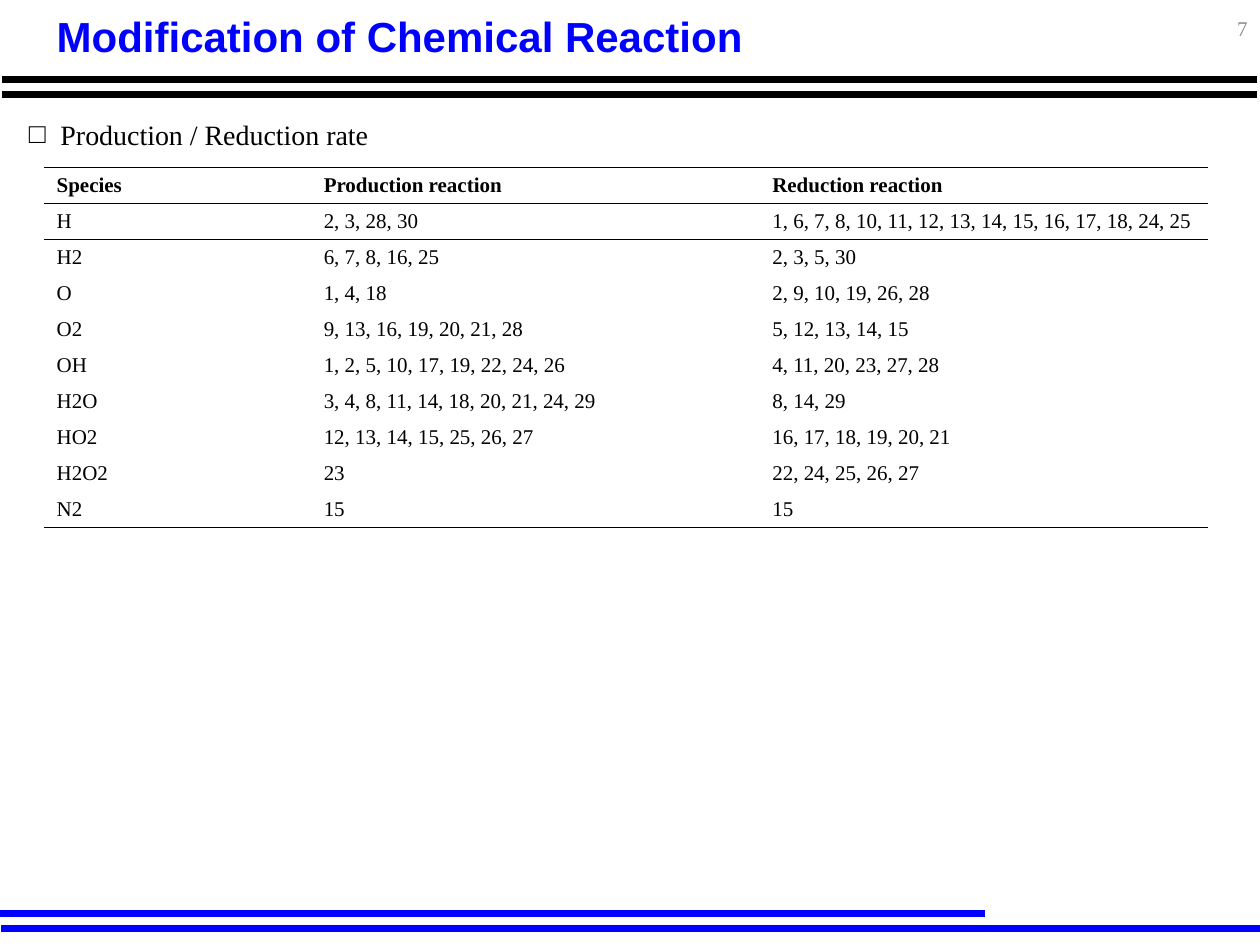
from dataclasses import dataclass

from lxml import etree
from pptx import Presentation
from pptx import util as u
from pptx.dml.color import RGBColor
from pptx.enum import shapes, text
from pptx.oxml import ns

COLUMNS, ROWS = 100, 75
BLACK, BLUE, GRAY = "000000", "0000FF", "8C8C8C"
SERIF, SANS = "Times New Roman", "Arial"
PLAIN_TABLE_STYLE = "{2D5ABB26-0587-4C30-8999-92F81FD0307C}"

presentation = Presentation()
presentation.slide_width = u.Inches(10)
presentation.slide_height = u.Inches(7.5)


@dataclass
class Box:
    left: float
    top: float
    width: float
    height: float


@dataclass
class Rule:
    start: float
    end: float
    row: float
    color: str


RULES = [
    Rule(0.2, 99.8, 6.3, BLACK),
    Rule(0.2, 99.8, 7.5, BLACK),
    Rule(0, 78.2, 72.5, BLUE),
    Rule(0.1, 100, 73.7, BLUE),
]
TITLE = Box(3.5, 1, 92.3, 4.1)
BODY = Box(1.3, 9.1, 97.4, 59.3)
TABLE = Box(3.5, 13.3, 92.4, 28.6)
NUMBER = Box(95.8, 0.2, 4.2, 4)
TABLE_COLUMNS = [21.2, 35.6, 35.6]
REACTIONS = [
    ("Species", "Production reaction", "Reduction reaction"),
    ("H", "2, 3, 28, 30", "1, 6, 7, 8, 10, 11, 12, 13, 14, 15, 16, 17, 18, 24, 25"),
    ("H2", "6, 7, 8, 16, 25", "2, 3, 5, 30"),
    ("O", "1, 4, 18", "2, 9, 10, 19, 26, 28"),
    ("O2", "9, 13, 16, 19, 20, 21, 28", "5, 12, 13, 14, 15"),
    ("OH", "1, 2, 5, 10, 17, 19, 22, 24, 26", "4, 11, 20, 23, 27, 28"),
    ("H2O", "3, 4, 8, 11, 14, 18, 20, 21, 24, 29", "8, 14, 29"),
    ("HO2", "12, 13, 14, 15, 25, 26, 27", "16, 17, 18, 19, 20, 21"),
    ("H2O2", "23", "22, 24, 25, 26, 27"),
    ("N2", "15", "15"),
]


def across(columns: float) -> int:
    return round(presentation.slide_width * columns / COLUMNS)


def down(rows: float) -> int:
    return round(presentation.slide_height * rows / ROWS)


def frame(box: Box) -> tuple[int, int, int, int]:
    return across(box.left), down(box.top), across(box.width), down(box.height)


def place(shape, box: Box) -> None:
    shape.left, shape.top, shape.width, shape.height = frame(box)


def color(value: str) -> RGBColor:
    return RGBColor.from_string(value)


def add_run(paragraph, words: str, size: float, font: str = SERIF,
            ink: str = BLACK, bold: bool = False) -> None:
    run = paragraph.add_run()
    run.text = words
    run.font.size = u.Pt(size)
    run.font.name = font
    run.font.bold = bold
    run.font.color.rgb = color(ink)


def draw_rule(slide, rule: Rule) -> None:
    connector = slide.shapes.add_connector(
        shapes.MSO_CONNECTOR.STRAIGHT,
        across(rule.start), down(rule.row), across(rule.end), down(rule.row))
    connector.line.width = u.Pt(4)
    connector.line.color.rgb = color(rule.color)
    etree.SubElement(connector._element.spPr, ns.qn("a:effectLst"))


def draw_title(slide) -> None:
    title = slide.shapes.title
    place(title, TITLE)
    title.text_frame.auto_size = text.MSO_AUTO_SIZE.NONE
    title.text_frame.vertical_anchor = text.MSO_ANCHOR.MIDDLE
    paragraph = title.text_frame.paragraphs[0]
    paragraph.alignment = text.PP_ALIGN.LEFT
    paragraph.line_spacing = 0.9
    add_run(paragraph, "Modification of Chemical Reaction", 24, SANS, BLUE, True)


def draw_body(slide) -> None:
    body = slide.placeholders[1]
    place(body, BODY)
    body.text_frame.auto_size = text.MSO_AUTO_SIZE.NONE
    paragraph = body.text_frame.paragraphs[0]
    paragraph.line_spacing = 0.9
    paragraph.space_before = u.Pt(10)
    properties = paragraph._p.get_or_add_pPr()
    properties.set("marL", str(u.Inches(0.25)))
    properties.set("indent", str(-u.Inches(0.25)))
    etree.SubElement(properties, ns.qn("a:buFont"), typeface=SERIF)
    etree.SubElement(properties, ns.qn("a:buChar"), char="□")
    add_run(paragraph, "Production / Reduction rate", 16)


def add_border(cell, side: str) -> None:
    line = etree.SubElement(cell._tc.get_or_add_tcPr(), ns.qn(f"a:{side}"),
                            w=str(u.Pt(1)))
    fill = etree.SubElement(line, ns.qn("a:solidFill"))
    etree.SubElement(fill, ns.qn("a:srgbClr"), val=BLACK)


def draw_table(slide) -> None:
    last = len(REACTIONS) - 1
    shape = slide.shapes.add_table(
        len(REACTIONS), len(TABLE_COLUMNS), *frame(TABLE))
    table = shape.table
    table.horz_banding = False
    table._tbl.tblPr.find(ns.qn("a:tableStyleId")).text = PLAIN_TABLE_STYLE
    for column, width in zip(table.columns, TABLE_COLUMNS):
        column.width = across(width)
    for row, reactions in enumerate(REACTIONS):
        table.rows[row].height = down(TABLE.height / len(REACTIONS))
        for column, words in enumerate(reactions):
            cell = table.cell(row, column)
            add_run(cell.text_frame.paragraphs[0], words, 12, bold=row == 0)
            if row in (0, 1):
                add_border(cell, "lnT")
            if row in (0, last):
                add_border(cell, "lnB")
            cell.fill.background()


def draw_number(slide) -> None:
    number = slide.shapes.add_textbox(*frame(NUMBER))
    number.text_frame.word_wrap = True
    number.text_frame.vertical_anchor = text.MSO_ANCHOR.MIDDLE
    paragraph = number.text_frame.paragraphs[0]
    paragraph.alignment = text.PP_ALIGN.RIGHT
    add_run(paragraph, "7", 12, ink=GRAY)


def main() -> None:
    slide = presentation.slides.add_slide(presentation.slide_layouts[1])
    for rule in RULES:
        draw_rule(slide, rule)
    draw_title(slide)
    draw_body(slide)
    draw_table(slide)
    draw_number(slide)
    presentation.save("out.pptx")


if __name__ == "__main__":
    main()
